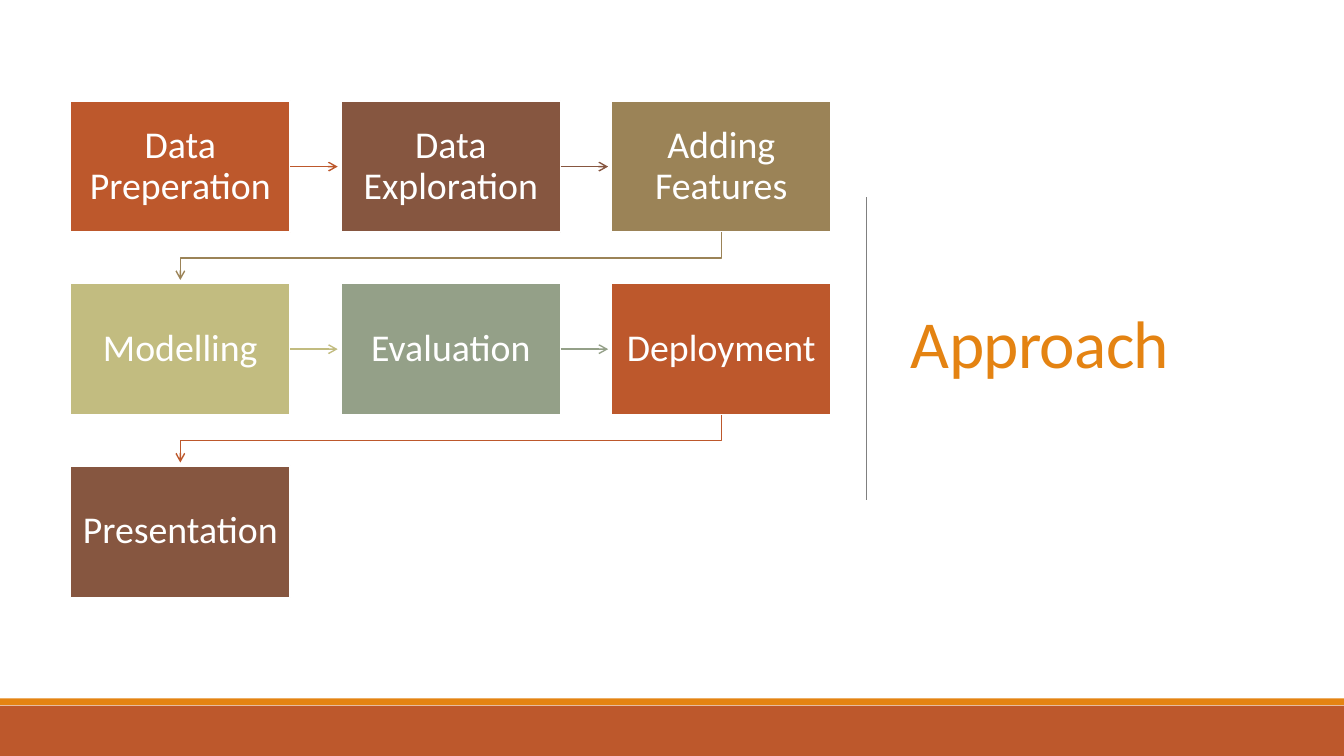
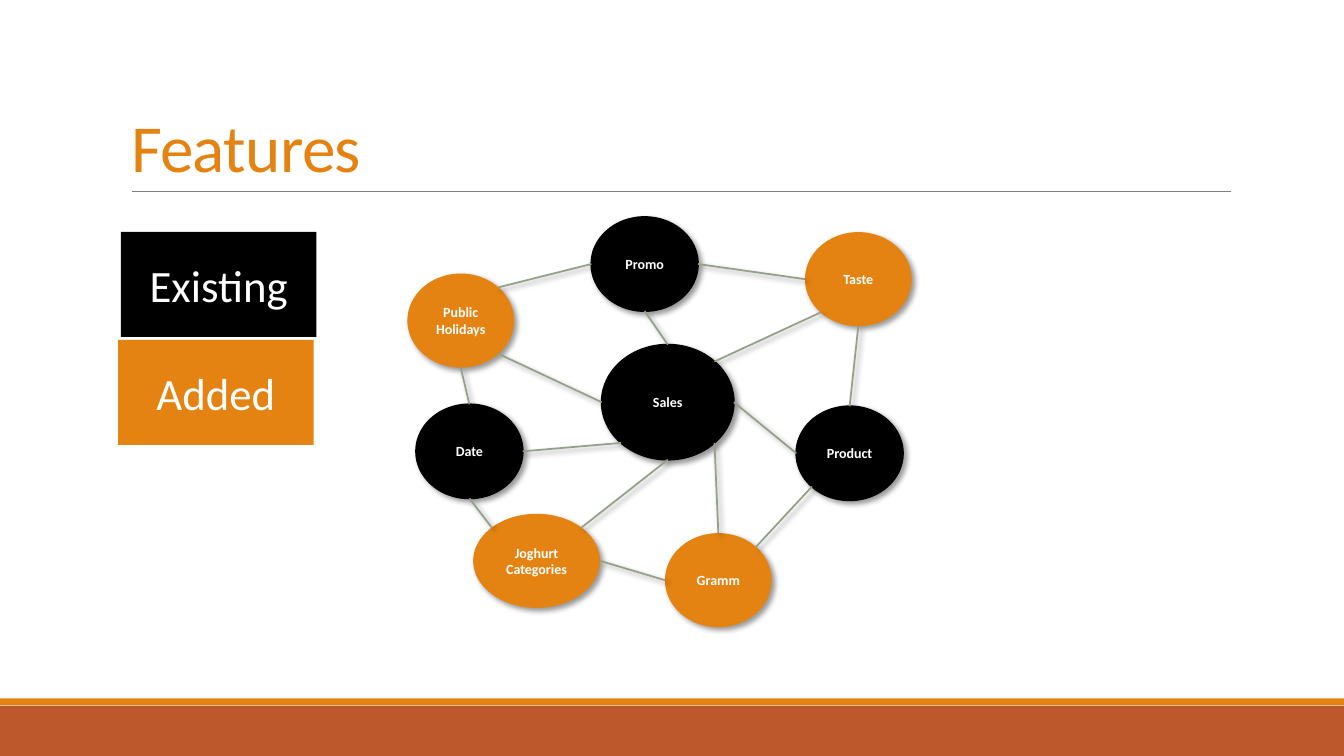
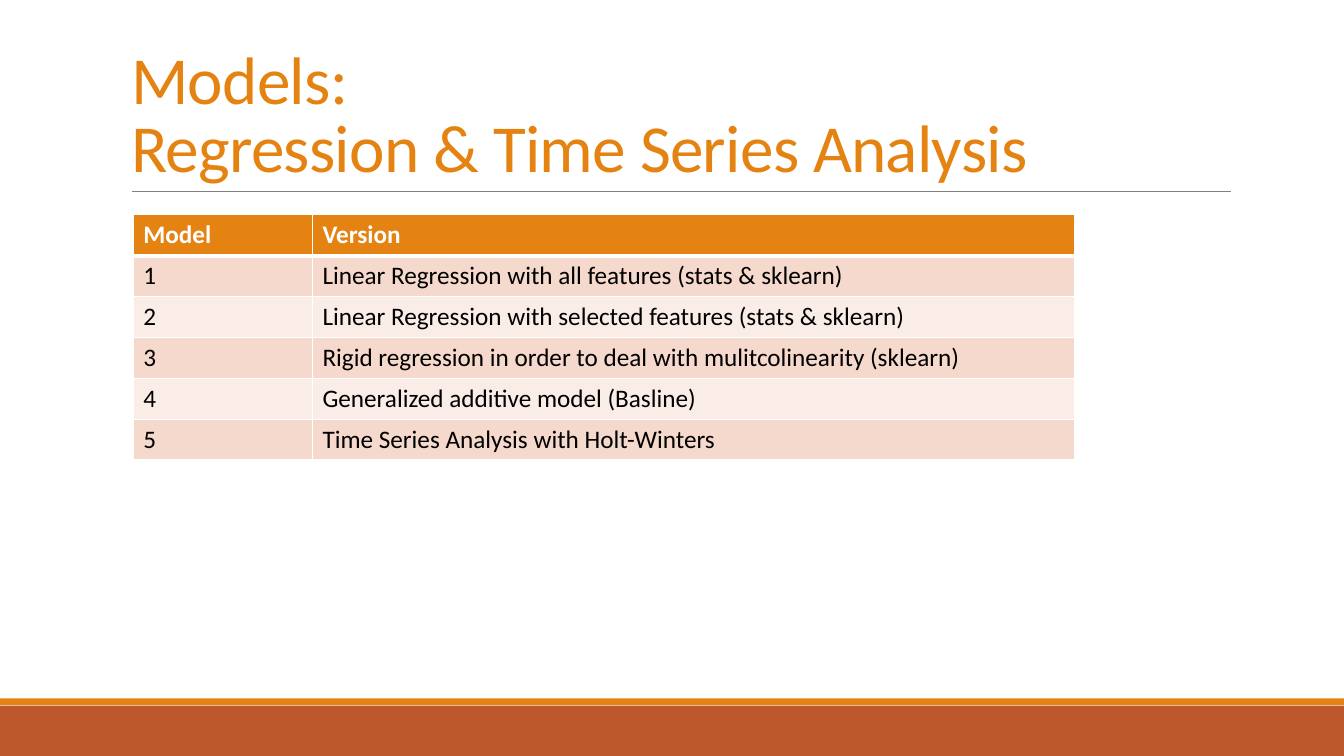
"""Build three slides on a forecasting project: approach, features and models."""
from dataclasses import dataclass
from math import cos, radians, sin

from lxml import etree
from pptx import Presentation
from pptx.dml.color import RGBColor
from pptx.enum import shapes, text
from pptx.oxml.ns import qn
from pptx.util import Pt

FONT = "Calibri"
ORANGE, RUST, BROWN, TAN = "E48312", "BD582C", "865640", "9B8357"
OLIVE, SAGE, GRAY, BLACK, WHITE = "C2BC80", "94A088", "808080", "000000", "FFFFFF"
ROSE, BLUSH = "F5D9CC", "FAEDE7"
WIDE, HIGH = 960, 540
MID, BASE = text.MSO_ANCHOR.MIDDLE, text.MSO_ANCHOR.BOTTOM
RECT, OVAL = shapes.MSO_SHAPE.RECTANGLE, shapes.MSO_SHAPE.OVAL


@dataclass(frozen=True)
class Step:
    """One step of the flow."""
    label: str
    color: str


@dataclass(frozen=True)
class Node:
    """One ellipse of the feature web."""
    label: str
    left: float
    top: float
    color: str
    width: float = 76.2
    height: float = 67.2

    def site(self, num: int) -> tuple[float, float]:
        """Return one of eight rim points, counted from the top to the left."""
        turn = radians(90 + 45 * num)
        return (self.left + self.width / 2 * (1 + cos(turn)),
                self.top + self.height / 2 * (1 - sin(turn)))


@dataclass(frozen=True)
class Link:
    """A line between the rim points of two nodes."""
    start: str
    leave: int
    end: str
    reach: int


STEPS = [
    Step("Data Preperation", RUST), Step("Data Exploration", BROWN),
    Step("Adding Features", TAN), Step("Modelling", OLIVE),
    Step("Evaluation", SAGE), Step("Deployment", RUST),
    Step("Presentation", BROWN),
]
NODES = {
    "sales": Node("Sales", 429.8, 246.2, BLACK, 94.4, 82.2),
    "date": Node("Date", 297.2, 288.8, BLACK),
    "product": Node("Product", 568.8, 290.2, BLACK),
    "promo": Node("Promo", 422.4, 155, BLACK),
    "gramm": Node("Gramm", 475, 380.8, ORANGE),
    "kind": Node("Joghurt\nCategories", 338, 367, ORANGE, 90.6),
    "rest": Node("Public\nHolidays", 291, 195.4, ORANGE),
    "taste": Node("Taste", 575, 165.8, ORANGE),
}
LINKS = [
    Link("rest", 4, "date", 0), Link("rest", 7, "promo", 2),
    Link("promo", 6, "taste", 2), Link("taste", 4, "product", 0),
    Link("product", 3, "gramm", 7), Link("date", 4, "kind", 1),
    Link("kind", 6, "gramm", 2), Link("promo", 4, "sales", 0),
    Link("rest", 5, "sales", 2), Link("date", 6, "sales", 3),
    Link("kind", 7, "sales", 4), Link("sales", 5, "gramm", 0),
    Link("sales", 6, "product", 2), Link("taste", 3, "sales", 7),
]
ROWS = [
    ("Model", "Version"),
    ("1", "Linear Regression with all features (stats & sklearn)"),
    ("2", "Linear Regression with selected features (stats & sklearn)"),
    ("3", "Rigid regression in order to deal with mulitcolinearity (sklearn)"),
    ("4", "Generalized additive model (Basline)"),
    ("5", "Time Series Analysis with Holt-Winters"),
]


def hue(code: str) -> RGBColor:
    """Turn a hex string into a colour."""
    return RGBColor.from_string(code)


def write(frame, words: str, *, size: float, color: str = WHITE, bold: bool = False,
          align=None, anchor=None, space=None, pad=None, track=None) -> None:
    """Fill a text frame with formatted paragraphs."""
    frame.word_wrap = True
    if anchor is not None:
        frame.vertical_anchor = anchor
    if pad is not None:
        frame.margin_left = frame.margin_right = Pt(pad)
        frame.margin_top = frame.margin_bottom = Pt(pad)
    for num, line in enumerate(words.split("\n")):
        para = frame.paragraphs[0] if num == 0 else frame.add_paragraph()
        para.text = line
        para.alignment = align
        para.line_spacing = space
        for run in para.runs:
            font = run.font
            font.name, font.size, font.bold = FONT, Pt(size), bold
            font.color.rgb = hue(color)
            if track is not None:
                font._element.set("spc", str(round(track * 100)))


def stroke(shape, color: str, width: float, arrow: bool = False) -> None:
    """Set an outline and, if asked, its arrowhead."""
    shape.line.color.rgb = hue(color)
    shape.line.width = Pt(width)
    if arrow:
        etree.SubElement(shape.line._ln, qn("a:tailEnd"), type="arrow")


def shade(shape, drop: bool = False) -> None:
    """Clear the theme shadow, or drop a soft one."""
    props = shape._element.spPr
    group = props.find(qn("a:effectLst"))
    if group is None:
        group = etree.SubElement(props, qn("a:effectLst"))
    if drop:
        cast = etree.SubElement(group, qn("a:outerShdw"), blurRad=str(Pt(4)),
                                dist=str(Pt(3)), dir="2700000", algn="tl",
                                rotWithShape="0")
        tint = etree.SubElement(cast, qn("a:srgbClr"), val=BLACK)
        etree.SubElement(tint, qn("a:alpha"), val="40000")


def block(slide, kind, left: float, top: float, width: float, height: float,
          fill: str, edge: str | None = None):
    """Add a filled shape without shadow."""
    shape = slide.shapes.add_shape(kind, Pt(left), Pt(top), Pt(width), Pt(height))
    shape.shadow.inherit = False
    shape.fill.solid()
    shape.fill.fore_color.rgb = hue(fill)
    if edge:
        stroke(shape, edge, 1.25)
    else:
        shape.line.fill.background()
    return shape


def line(slide, start: tuple[float, float], end: tuple[float, float], color: str,
         width: float, arrow: bool = False, drop: bool = False):
    """Add a straight line."""
    rule = slide.shapes.add_connector(shapes.MSO_CONNECTOR.STRAIGHT,
                                      *map(Pt, start + end))
    stroke(rule, color, width, arrow)
    shade(rule, drop)
    return rule


def title(slide, words: str, left: float, top: float, width: float, height: float,
          anchor) -> None:
    """Add a slide title."""
    area = slide.shapes.add_textbox(Pt(left), Pt(top), Pt(width), Pt(height))
    write(area.text_frame, words, size=48, color=ORANGE, anchor=anchor,
          space=0.85, track=-0.5)


def start(deck):
    """Add a blank slide with the two bottom bands."""
    slide = deck.slides.add_slide(deck.slide_layouts[6])
    block(slide, RECT, 0, 504, WIDE, 36, RUST)
    block(slide, RECT, 0, 498.8, WIDE, 5, ORANGE)
    return slide


def topic(deck, words: str):
    """Add a slide with a title above a rule."""
    slide = start(deck)
    line(slide, (94.4, 136.8), (879, 136.8), GRAY, 0.5)
    title(slide, words, 86.6, 22.6, 792, 114.2, BASE)
    return slide


def approach(deck) -> None:
    """Draw the flow of steps, three to a row."""
    slide = start(deck)
    title(slide, "Approach", 643.6, 49.6, 265.6, 398.2, MID)
    line(slide, (618.6, 141), (618.6, 357), GRAY, 0.5)
    left, top, width, height = 50.4, 72, 156.8, 94
    over, down, cols, gap = 193.2, 130.4, 3, 2.4
    for num, step in enumerate(STEPS):
        row, col = divmod(num, cols)
        x, y = left + col * over, top + row * down
        box = block(slide, RECT, x, y, width, height, step.color, WHITE)
        write(box.text_frame, step.label, size=27, align=text.PP_ALIGN.CENTER,
              anchor=MID, space=0.9, pad=7.6)
        if num == len(STEPS) - 1:
            continue
        if col < cols - 1:
            side = y + height / 2
            link = line(slide, (x + width, side), (x + over - gap, side),
                        step.color, 1, arrow=True)
            link.begin_connect(box, 3)
            continue
        mid, home, turn = x + width / 2, left + width / 2, y + (height + down) / 2
        pen = slide.shapes.build_freeform(Pt(mid), Pt(y + height))
        bends = [(mid, turn), (home, turn), (home, y + down - gap)]
        pen.add_line_segments([(Pt(a), Pt(b)) for a, b in bends], close=False)
        bend = pen.convert_to_shape()
        bend.shadow.inherit = False
        bend.fill.background()
        stroke(bend, step.color, 1, arrow=True)


def features(deck) -> None:
    """Draw the web of features and its legend."""
    slide = topic(deck, "Features")
    for node in NODES.values():
        edge = BLACK if node.color == BLACK else None
        oval = block(slide, OVAL, node.left, node.top, node.width, node.height,
                     node.color, edge)
        shade(oval, drop=True)
        write(oval.text_frame, node.label, size=10, bold=True,
              align=text.PP_ALIGN.CENTER, anchor=MID)
    for link in LINKS:
        line(slide, NODES[link.start].site(link.leave),
             NODES[link.end].site(link.reach), SAGE, 1.25, drop=True)
    for label, left, top, color in (("Existing", 86.4, 165.6, BLACK),
                                    ("Added", 84.4, 242.8, ORANGE)):
        key = block(slide, RECT, left, top, 139.6, 75, color)
        write(key.text_frame, label, size=32, align=text.PP_ALIGN.CENTER, anchor=MID)


def border(cell, side: str, width: float) -> None:
    """Add a white border to one side of a cell."""
    props = cell._tc.get_or_add_tcPr()
    edge = etree.SubElement(props, qn(f"a:ln{side}"), w=str(Pt(width)))
    fill = etree.SubElement(edge, qn("a:solidFill"))
    etree.SubElement(fill, qn("a:srgbClr"), val=WHITE)


def models(deck) -> None:
    """Draw the table of models."""
    slide = topic(deck, "Models:\vRegression & Time Series Analysis")
    widths, tall = (128, 544.6), 29.2
    table = slide.shapes.add_table(len(ROWS), len(widths), Pt(95.2), Pt(153.4),
                                   Pt(sum(widths)), Pt(tall * len(ROWS))).table
    table.horz_banding = False
    for col, width in zip(table.columns, widths):
        col.width = Pt(width)
    for num, row in enumerate(ROWS):
        table.rows[num].height = Pt(tall)
        head = num == 0
        fill = ORANGE if head else (BLUSH, ROSE)[num % 2]
        for col, words in enumerate(row):
            cell = table.cell(num, col)
            for side in "LRTB":
                thick = (head and side == "B") or (num == 1 and side == "T")
                border(cell, side, 3 if thick else 1)
            cell.fill.solid()
            cell.fill.fore_color.rgb = hue(fill)
            write(cell.text_frame, words, size=18, bold=head,
                  color=WHITE if head else BLACK)


def main() -> None:
    """Build and save the deck."""
    deck = Presentation()
    deck.slide_width, deck.slide_height = Pt(WIDE), Pt(HIGH)
    for draw in (approach, features, models):
        draw(deck)
    deck.save("out.pptx")


if __name__ == "__main__":
    main()
